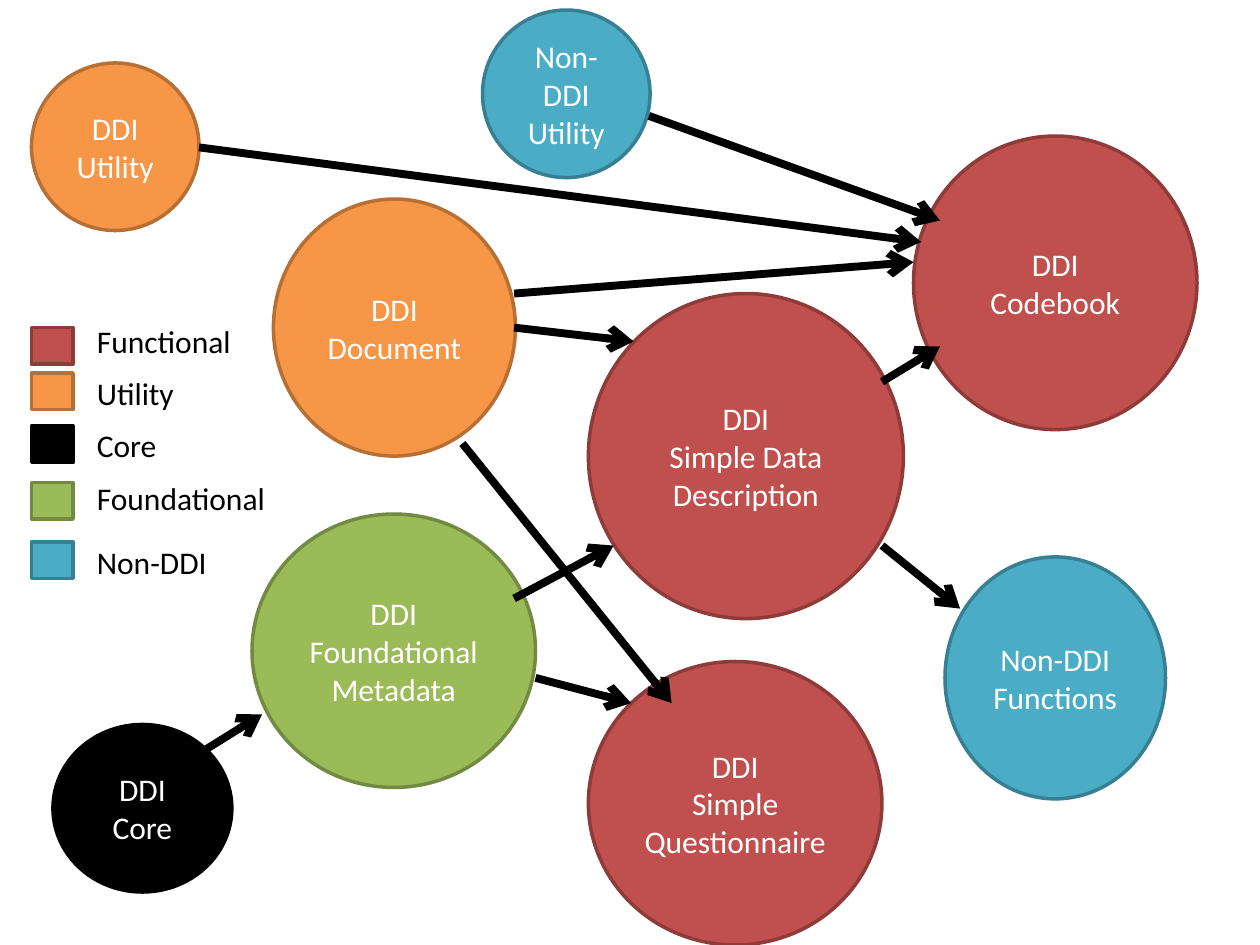
import pptx
import pptx.dml.color
import pptx.enum.shapes
import pptx.enum.text
import pptx.oxml
import pptx.oxml.ns
import pptx.util

Inches = pptx.util.Inches
Shapes = pptx.enum.shapes.MSO_SHAPE
Align = pptx.enum.text.PP_ALIGN
Anchor = pptx.enum.text.MSO_ANCHOR

FILLS = {
    "Functional": "C0504D",
    "Utility": "F79646",
    "Core": "000000",
    "Foundational": "9BBB59",
    "Non-DDI": "4BACC6",
}
OUTLINES = {
    "Functional": "8E3B39",
    "Utility": "B76F34",
    "Core": "000000",
    "Foundational": "738A42",
    "Non-DDI": "377F92",
}
INK = {"light": "FFFFFF", "dark": "000000"}

PACKAGES = [
    (["DDI", "Core"], "Core", (0.42, 5.75, 1.42, 1.33)),
    (["DDI", "Foundational", "Metadata"], "Foundational", (2, 4.08, 2.25, 2.17)),
    (["DDI", "Simple Data", "Description"], "Functional", (4.67, 2.33, 2.5, 2.58)),
    (["DDI", "Simple Questionnaire"], "Functional", (4.67, 5.25, 2.33, 2.25)),
    (["DDI", "Codebook"], "Functional", (7.25, 1.08, 2.25, 2.33)),
    (["DDI", "Utility"], "Utility", (0.25, 0.5, 1.33, 1.33)),
    (["Non-DDI", "Utility"], "Non-DDI", (3.83, 0.08, 1.33, 1.33)),
    (["DDI", "Document"], "Utility", (2.17, 1.58, 1.92, 2.04)),
    (["Non-DDI", "Functions"], "Non-DDI", (7.5, 4.42, 1.75, 1.92)),
]
DEPENDENCIES = [
    ((1.63, 5.95), (2.08, 5.67)),
    ((4.08, 4.75), (4.87, 4.33)),
    ((4.25, 5.38), (5.01, 5.58)),
    ((7, 3.03), (7.46, 2.75)),
    ((7, 4.33), (7.62, 4.83)),
    ((4.08, 2.6), (5.03, 2.71)),
    ((4.08, 2.33), (7.25, 2.08)),
    ((3.67, 3.52), (5.33, 5.58)),
    ((1.58, 1.17), (7.31, 1.92)),
    ((5.15, 0.92), (7.46, 1.75)),
]
LEGEND = [
    ("Functional", 2.6, 2.51, 1.28),
    ("Utility", 2.96, 2.92, 0.82),
    ("Core", 3.38, 3.33, 0.68),
    ("Foundational", 3.83, 3.75, 1.55),
    ("Non-DDI", 4.3, 4.26, 1.08),
]


def rgb(color):
    return pptx.dml.color.RGBColor.from_string(color)


def write(frame, lines, color, align=Align.LEFT, anchor=Anchor.TOP, wrap=True):
    frame.word_wrap = wrap
    frame.vertical_anchor = anchor
    for index, line in enumerate(lines):
        paragraph = frame.paragraphs[0] if index == 0 else frame.add_paragraph()
        paragraph.alignment = align
        run = paragraph.add_run()
        run.text = line
        run.font.name = "Calibri"
        run.font.size = pptx.util.Pt(18)
        run.font.color.rgb = rgb(color)


def add_category_shape(slide, preset, category, box):
    shape = slide.shapes.add_shape(preset, *map(Inches, box))
    shape.shadow.inherit = False
    shape.fill.solid()
    shape.fill.fore_color.rgb = rgb(FILLS[category])
    shape.line.color.rgb = rgb(OUTLINES[category])
    shape.line.width = pptx.util.Pt(2)
    return shape


def add_arrow(slide, start, end):
    arrow = slide.shapes.add_connector(
        pptx.enum.shapes.MSO_CONNECTOR.STRAIGHT, *map(Inches, start + end)
    )
    arrow.line.color.rgb = rgb(INK["dark"])
    arrow.line.width = pptx.util.Pt(4.5)
    head = pptx.oxml.parse_xml(
        f'<a:tailEnd {pptx.oxml.ns.nsdecls("a")} type="arrow"/>'
    )
    arrow.line._get_or_add_ln().append(head)
    arrow._element.spPr.append(
        pptx.oxml.parse_xml(f'<a:effectLst {pptx.oxml.ns.nsdecls("a")}/>')
    )


def main():
    deck = pptx.Presentation()
    deck.slide_width, deck.slide_height = Inches(10), Inches(7.5)
    slide = deck.slides.add_slide(deck.slide_layouts[6])

    for lines, category, box in PACKAGES:
        circle = add_category_shape(slide, Shapes.OVAL, category, box)
        write(circle.text_frame, lines, INK["light"],
              align=Align.CENTER, anchor=Anchor.MIDDLE)

    for start, end in DEPENDENCIES:
        add_arrow(slide, start, end)

    for category, swatch_top, label_top, label_width in LEGEND:
        add_category_shape(slide, Shapes.RECTANGLE, category,
                           (0.25, swatch_top, 0.33, 0.29))
        label = slide.shapes.add_textbox(
            *map(Inches, (0.67, label_top, label_width, 0.4)))
        write(label.text_frame, [category], INK["dark"], wrap=False)
        label.text_frame.auto_size = pptx.enum.text.MSO_AUTO_SIZE.SHAPE_TO_FIT_TEXT

    deck.save("out.pptx")


if __name__ == "__main__":
    main()
